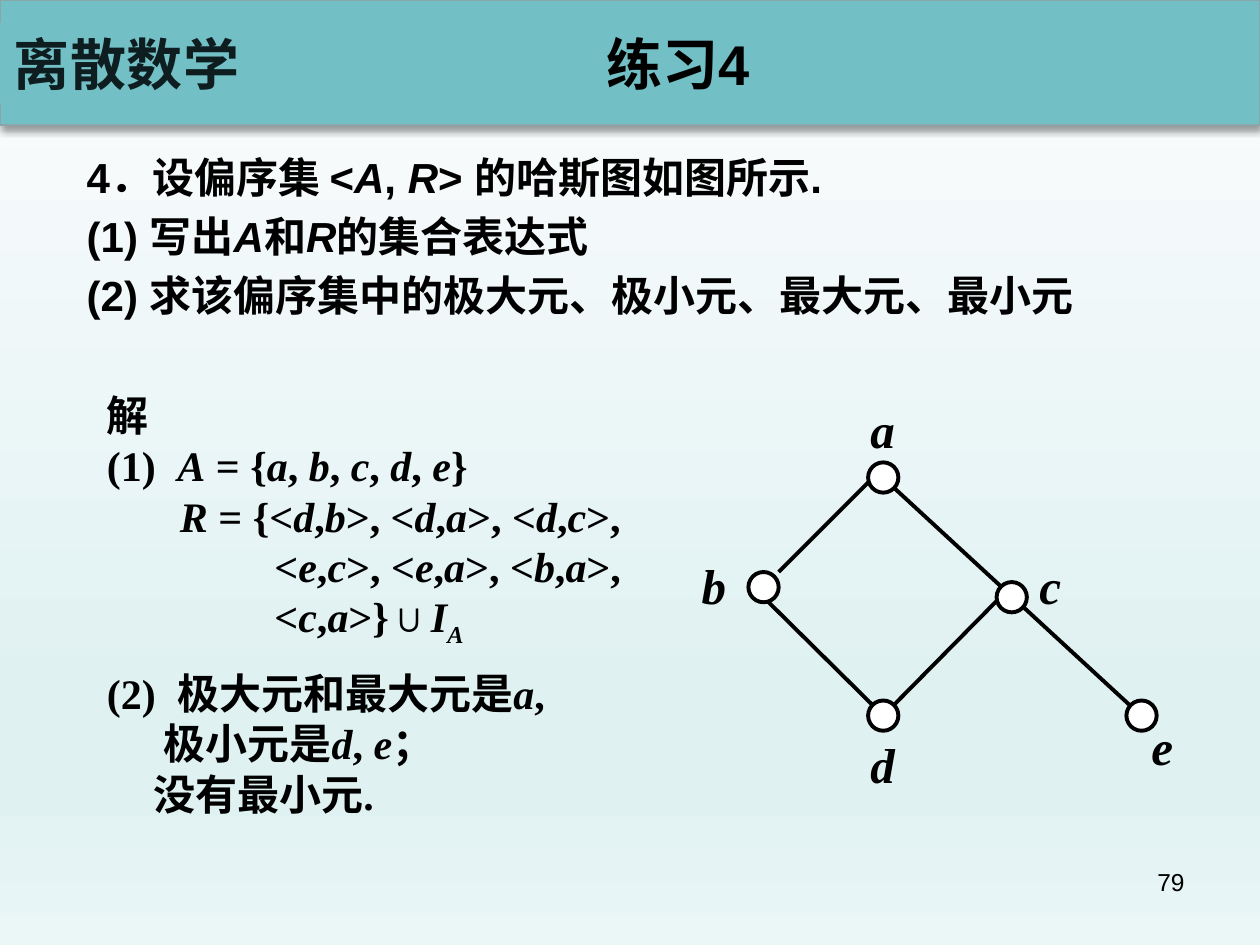
from dataclasses import dataclass

from lxml.etree import SubElement
from pptx import Presentation
from pptx.dml.color import RGBColor
from pptx.enum.shapes import MSO_CONNECTOR as Connector, MSO_SHAPE as Preset
from pptx.enum.text import MSO_ANCHOR as Anchor, PP_ALIGN as Align
from pptx.oxml.ns import qn
from pptx.util import Emu, Pt

PX = 9144
BLACK, WHITE, TEAL = "000000", "FFFFFF", "72BFC5"
CJK = "Noto Sans CJK SC"
NODE_SIZE = 24


@dataclass
class Line:
    text: str
    indent: int = 0
    hang: int = 0
    before: int = 0


@dataclass
class Style:
    font: str
    size: int
    bold: bool = True
    color: str = BLACK
    align: Align = Align.LEFT


@dataclass
class Node:
    name: str
    left: int
    top: int
    label: tuple[int, int, int, int]


@dataclass
class Edge:
    start: tuple[int, int]
    end: tuple[int, int]


BACKDROP = [(0, "FCFDFE"), (74, "E0F1F2"), (83, "E0F1F2"), (100, "EBF6F7")]
QUESTION = [
    Line("4．设偏序集 <*A*, *R*> 的哈斯图如图所示.", 38, 38),
    Line("(1) 写出*A*和*R*的集合表达式", 38, 38, 5),
    Line("(2) 求该偏序集中的极大元、极小元、最大元、最小元", 38, 38, 5),
]
ANSWER = [
    Line("解"),
    Line("(1)\t*A* = {*a*, *b*, *c*, *d*, *e*}", 56, 56),
    Line("*R* = {<*d*,*b*>, <*d*,*a*>, <*d*,*c*>,", 58),
    Line("<*e*,*c*>, <*e*,*a*>, <*b*,*a*>,", 133),
    Line("<*c*,*a*>}∪*I**_A*", 133),
    Line("(2)\t极大元和最大元是*a*,", 56, 56, 11),
    Line("极小元是*d*, *e*；", 45),
    Line("没有最小元.", 37),
]
NODES = [
    Node("a", 689, 367, (681, 312, 40, 57)),
    Node("b", 594, 454, (547, 436, 39, 57)),
    Node("c", 791, 462, (815, 436, 37, 57)),
    Node("d", 689, 556, (681, 578, 47, 57)),
    Node("e", 894, 556, (904, 564, 37, 57)),
]
EDGES = [
    Edge((705, 383), (910, 572)),
    Edge((689, 383), (618, 454)),
    Edge((602, 470), (697, 564)),
    Edge((705, 564), (791, 477)),
]


def px(*lengths: int) -> list[Emu]:
    return [Emu(length * PX) for length in lengths]


def rgb(color: str) -> RGBColor:
    return RGBColor.from_string(color)


def write(box, lines: list[Line], style: Style) -> None:
    frame = box.text_frame
    for number, line in enumerate(lines):
        para = frame.add_paragraph() if number else frame.paragraphs[0]
        para.alignment = style.align
        properties = para._p.get_or_add_pPr()
        properties.set("marL", str(line.indent * PX))
        properties.set("indent", str(-line.hang * PX))
        para.space_before = Pt(line.before)
        font = para.font
        font.name, font.size, font.bold = style.font, Pt(style.size), style.bold
        font.color.rgb = rgb(style.color)
        for position, part in enumerate(line.text.split("*")):
            if not part:
                continue
            span = para.add_run()
            span.text = part.removeprefix("_")
            if position % 2:
                span.font.italic = True
            if part.startswith("_"):
                span._r.get_or_add_rPr().set("baseline", "-25000")
    for properties in box.element.iter(qn("a:defRPr")):
        SubElement(properties, qn("a:ea"), typeface=CJK)


def add_text(page, area: tuple[int, int, int, int], lines: list[Line],
             style: Style, wrap: bool = True):
    box = page.shapes.add_textbox(*px(*area))
    box.text_frame.word_wrap = wrap
    write(box, lines, style)
    return box


def add_block(page, preset: Preset, area: tuple[int, int, int, int], fill: str,
              line: str = "", width: float = 1):
    block = page.shapes.add_shape(preset, *px(*area))
    block.shadow.inherit = False
    block.fill.solid()
    block.fill.fore_color.rgb = rgb(fill)
    if line:
        block.line.color.rgb = rgb(line)
        block.line.width = Pt(width)
    else:
        block.line.fill.background()
    return block


def add_edge(page, edge: Edge) -> None:
    line = page.shapes.add_connector(Connector.STRAIGHT, *px(*edge.start, *edge.end))
    line.line.color.rgb = rgb(BLACK)
    line.line.width = Pt(2.25)
    SubElement(line.element.spPr, qn("a:effectLst"))


def add_node(page, node: Node) -> None:
    area = (node.left, node.top, NODE_SIZE, NODE_SIZE)
    add_block(page, Preset.OVAL, area, WHITE, BLACK, 2.25)
    add_text(page, node.label, [Line(f"*{node.name}*")],
             Style("Times New Roman", 28), wrap=False)


def paint_backdrop(page) -> None:
    fill = page.background.fill
    fill.gradient()
    fill.gradient_angle = 270
    stops = next(page.element.iter(qn("a:gsLst")))
    for stop in list(stops):
        stops.remove(stop)
    for position, color in BACKDROP:
        stop = SubElement(stops, qn("a:gs"), pos=str(position * 1000))
        SubElement(stop, qn("a:srgbClr"), val=color)


def add_header(page) -> None:
    band = add_block(page, Preset.RECTANGLE, (0, 0, 1000, 99), TEAL, "8AA6A8")
    effects = band.element.spPr.find(qn("a:effectLst"))
    shadow = SubElement(effects, qn("a:outerShdw"), blurRad=str(Pt(4)),
                        dist=str(Pt(3)), dir="5400000", rotWithShape="0")
    tint = SubElement(shadow, qn("a:srgbClr"), val=BLACK)
    SubElement(tint, qn("a:alpha"), val="40000")

    course = add_block(page, Preset.RECTANGLE, (0, 18, 201, 64), TEAL)
    write(course, [Line("离散数学")], Style(CJK, 32, True, "0E1E20", Align.CENTER))
    for properties in course.element.iter(qn("a:defRPr")):
        properties.set("spc", "50")

    title = page.shapes.title
    title.left, title.top, title.width, title.height = px(204, 27, 669, 46)
    title.text_frame.vertical_anchor = Anchor.MIDDLE
    write(title, [Line("练习4")], Style("Arial", 32, align=Align.CENTER))
    title.element.getparent().append(title.element)


def main() -> None:
    deck = Presentation()
    deck.slide_width, deck.slide_height = px(1000, 750)
    page = deck.slides.add_slide(deck.slide_layouts[5])
    paint_backdrop(page)
    add_header(page)
    add_text(page, (59, 115, 900, 157), QUESTION, Style("Arial", 24))
    add_text(page, (717, 683, 233, 52), [Line("79")],
             Style("Arial", 14, False, align=Align.RIGHT))
    add_text(page, (75, 304, 500, 348), ANSWER, Style("Times New Roman", 24))
    for edge in EDGES:
        add_edge(page, edge)
    for node in NODES:
        add_node(page, node)
    deck.save("out.pptx")


if __name__ == "__main__":
    main()
